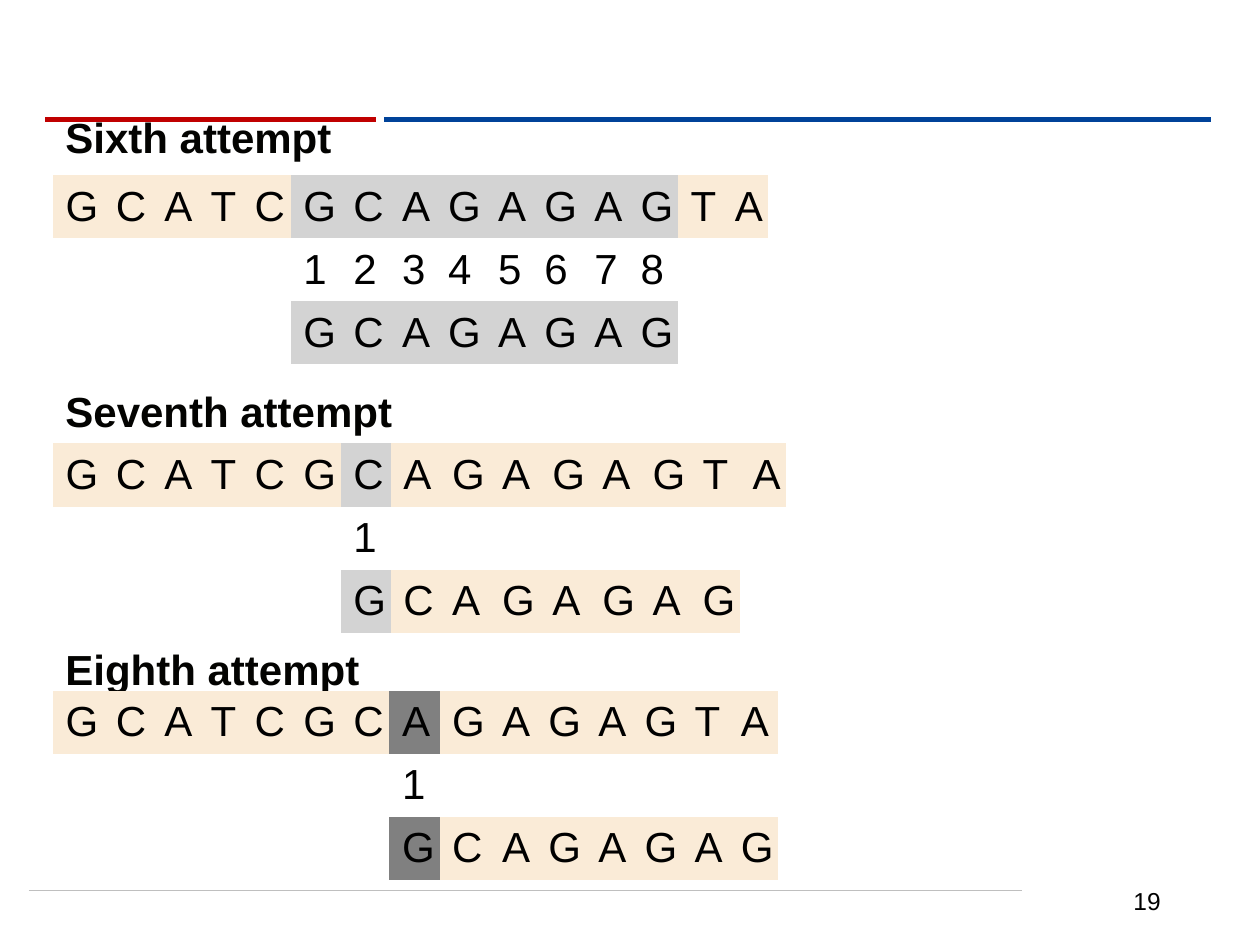
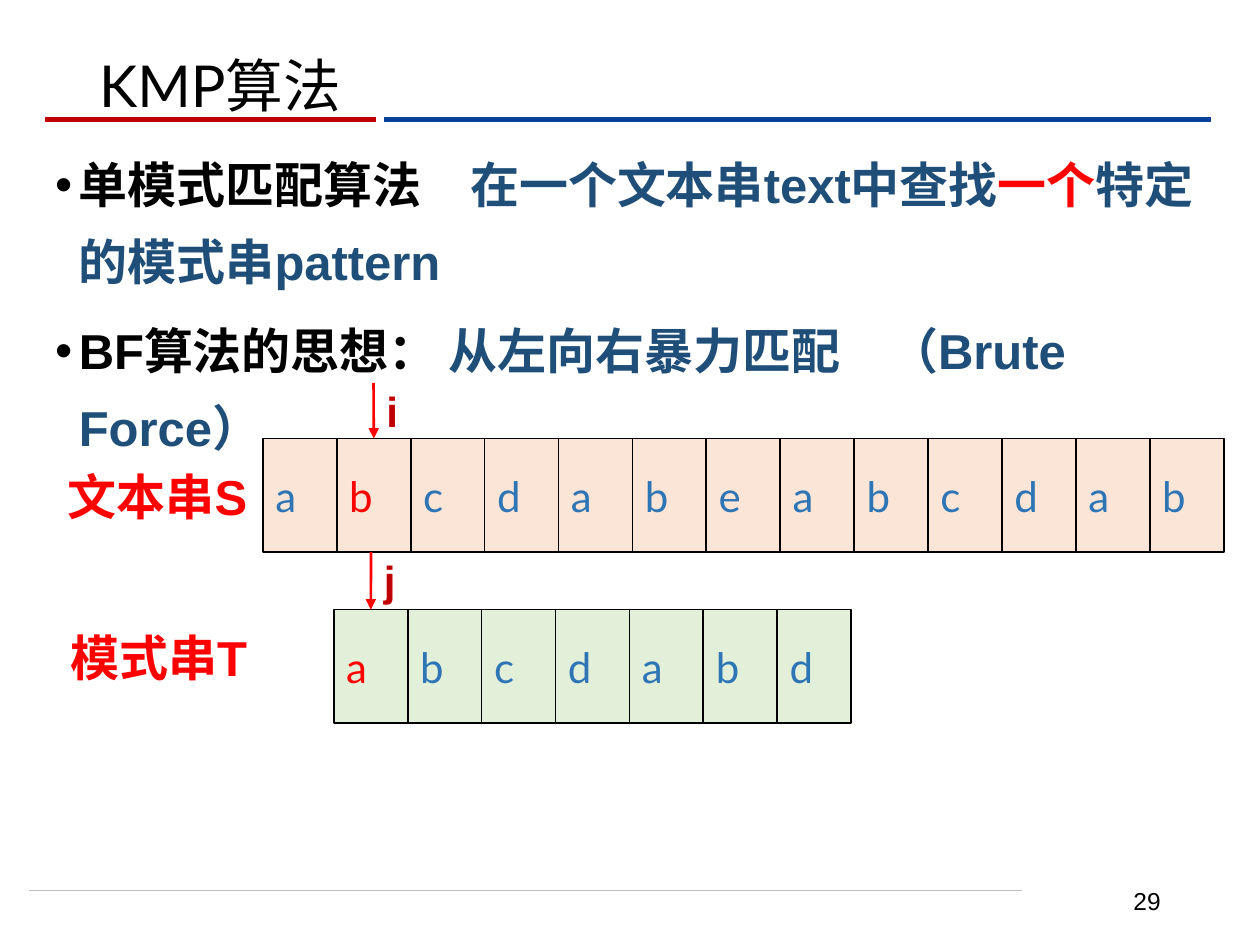
from dataclasses import dataclass
from typing import Optional

from lxml.etree import SubElement
from pptx import Presentation
from pptx.dml.color import RGBColor
from pptx.enum.shapes import MSO_CONNECTOR, MSO_SHAPE
from pptx.enum.text import MSO_ANCHOR, PP_ALIGN
from pptx.oxml.ns import qn
from pptx.util import Cm, Pt

COLORS = {
    "black": "000000", "label": "030301", "white": "FFFFFF",
    "rule_red": "C00000", "rule_blue": "004299", "footer": "BFBFBF",
    "base": "FAEBD7", "match": "D3D3D3", "mismatch": "808080",
    "navy": "1F4E79", "red": "FF0000", "letter": "2E75B6",
    "text_cell": "FBE5D6", "pattern_cell": "E2F0D9",
}
NO_STYLE = "{2D5ABB26-0587-4C30-8999-92F81FD0307C}"

# Alignment tables: a column is as wide as its widest letter
GENOME = "GCATCGCAGAGAGTA"
PATTERN = "GCAGAGAG"
LETTER_WIDTHS = {"G": 1.01, "C": 0.98, "A": 0.93, "T": 0.89}
LEFT, ROW_HEIGHT = 1.07, 1.27

# Strings of boxed letters
CELL_WIDTH, CELL_HEIGHT = 1.49, 2.29


@dataclass
class Run:
    text: str
    size: float
    color: str = "black"
    bold: bool = False
    font: str = "Arial"


@dataclass
class Box:
    x: float
    y: float
    w: float
    h: float


@dataclass
class Rule:
    x1: float
    x2: float
    y: float
    color: str
    width: float


@dataclass
class Attempt:
    title: str
    title_y: float
    title_w: float
    table_y: float
    shift: int
    compared: int
    mark: str


@dataclass
class LetterRow:
    letters: str
    x: float
    y: float
    fill: str
    current: int


RULES = [
    Rule(0.58, 20.6, 17.96, "footer", 0.5),
    Rule(7.75, 24.41, 2.41, "rule_blue", 3),
    Rule(0.91, 7.57, 2.41, "rule_red", 3),
]
ATTEMPTS = [
    Attempt("Sixth attempt", 2.13, 6.05, 3.53, 5, 8, "match"),
    Attempt("Seventh attempt", 7.65, 7.26, 8.94, 6, 1, "match"),
    Attempt("Eighth attempt", 12.85, 6.6, 13.92, 7, 1, "mismatch"),
]
TEXT_ROW = LetterRow("abcdabeabcdab", 5.3, 8.84, "text_cell", 1)
PATTERN_ROW = LetterRow("abcdabd", 6.73, 12.29, "pattern_cell", 0)
STRING_LABELS = [
    (Box(1.12, 9.27, 4.19, 1.45), Run("文本串S", 28, "red", True)),
    (Box(1.17, 12.52, 4.14, 1.45), Run("模式串T", 28, "red", True)),
    (Box(7.54, 7.65, 0.74, 1.27), Run("i", 24, "rule_red", True)),
    (Box(7.49, 11.05, 0.74, 1.27), Run("j", 24, "rule_red", True)),
]
BULLETS = [
    [Run("单模式匹配算法　", 28, "black", True, "Lato"),
     Run("在一个文本串text中查找", 28, "navy", True),
     Run("一个", 28, "red", True),
     Run("特定的模式串pattern", 28, "navy", True)],
    [Run("BF算法的思想： ", 28, "black", True),
     Run("从左向右暴力匹配　（Brute Force）", 28, "navy", True)],
]


def rgb(name: str) -> RGBColor:
    return RGBColor.from_string(COLORS[name])


def add_run(p, run: Run) -> None:
    r = p.add_run()
    r.text = run.text
    r.font.name = run.font
    r.font.size = Pt(run.size)
    r.font.bold = run.bold
    r.font.color.rgb = rgb(run.color)


def add_text(s, box: Box, runs: list[Run], anchor=MSO_ANCHOR.TOP,
             align: Optional[PP_ALIGN] = None):
    tb = s.shapes.add_textbox(Cm(box.x), Cm(box.y), Cm(box.w), Cm(box.h))
    tf = tb.text_frame
    tf.word_wrap = True
    tf.vertical_anchor = anchor
    p = tf.paragraphs[0]
    p.alignment = align
    for run in runs:
        add_run(p, run)
    return tf


def add_line(s, x1: float, y1: float, x2: float, y2: float,
             color: str, width: float):
    line = s.shapes.add_connector(MSO_CONNECTOR.STRAIGHT,
                                  Cm(x1), Cm(y1), Cm(x2), Cm(y2))
    line.line.color.rgb = rgb(color)
    line.line.width = Pt(width)
    SubElement(line._element.spPr, qn("a:effectLst"))
    return line


def add_arrow(s, x: float, y: float, target):
    arrow = add_line(s, x, y, x, y + 1.12, "red", 1.5)
    arrow.end_connect(target, 0)
    SubElement(arrow.line._get_or_add_ln(), qn("a:tailEnd"), type="triangle")
    return arrow


def add_base(prs, number: int):
    """New slide with the shared rules and its page number."""
    s = prs.slides.add_slide(prs.slide_layouts[6])
    for rule in RULES:
        add_line(s, rule.x1, rule.y, rule.x2, rule.y, rule.color, rule.width)
    add_text(s, Box(17.93, 17.65, 5.72, 1.02), [Run(str(number), 14)],
             MSO_ANCHOR.MIDDLE, PP_ALIGN.RIGHT)
    return s


def fill_cell(cell, text: str, fill: str) -> None:
    cell.fill.solid()
    cell.fill.fore_color.rgb = rgb(fill)
    cell.vertical_anchor = MSO_ANCHOR.MIDDLE
    cell.margin_right = 0
    if text:
        add_run(cell.text_frame.paragraphs[0], Run(text, 24))


def merge_gap(table, row: int, start: int, stop: int) -> None:
    if stop - start > 1:
        table.cell(row, start).merge(table.cell(row, stop - 1))


def add_attempt(s, a: Attempt) -> None:
    add_text(s, Box(LEFT, a.title_y, a.title_w, 1.27),
             [Run(a.title, 24, "label", True)], MSO_ANCHOR.MIDDLE)
    count = len(GENOME)
    numbers = "".join(str(i + 1) for i in range(a.compared))
    rows = [GENOME] + [(" " * a.shift + t).ljust(count)
                       for t in (numbers, PATTERN)]
    widths = [max(LETTER_WIDTHS.get(ch, 0) for ch in column)
              for column in zip(*rows)]
    table = s.shapes.add_table(
        len(rows), count, Cm(LEFT), Cm(a.table_y),
        Cm(sum(widths)), Cm(ROW_HEIGHT * len(rows))).table
    table.first_row = table.horz_banding = False
    table._tbl.tblPr.find(qn("a:tableStyleId")).text = NO_STYLE
    for column, width in zip(table.columns, widths):
        column.width = Cm(width)

    marked_end = a.shift + a.compared
    for i, letters in enumerate(rows):
        table.rows[i].height = Cm(ROW_HEIGHT)
        for j, ch in enumerate(letters):
            if not ch.isalpha():
                fill = "white"
            else:
                fill = a.mark if a.shift <= j < marked_end else "base"
            fill_cell(table.cell(i, j), ch.strip(), fill)
    for i in (1, 2):
        merge_gap(table, i, 0, a.shift)
        merge_gap(table, i, len(rows[i].rstrip()), count)


def add_letter_row(s, row: LetterRow) -> list:
    cells = []
    for i, letter in enumerate(row.letters):
        sp = s.shapes.add_shape(
            MSO_SHAPE.RECTANGLE, Cm(row.x + i * CELL_WIDTH), Cm(row.y),
            Cm(CELL_WIDTH), Cm(CELL_HEIGHT))
        sp.shadow.inherit = False
        sp.fill.solid()
        sp.fill.fore_color.rgb = rgb(row.fill)
        sp.line.color.rgb = rgb("black")
        sp.line.width = Pt(1)
        tf = sp.text_frame
        tf.vertical_anchor = MSO_ANCHOR.MIDDLE
        p = tf.paragraphs[0]
        p.alignment = PP_ALIGN.JUSTIFY
        color = "red" if i == row.current else "letter"
        add_run(p, Run(letter, 24, color, font="Lato"))
        cells.append(sp)
    return cells


def add_bullets(s, box: Box, items: list[list[Run]]) -> None:
    tf = add_text(s, box, [])
    for i, runs in enumerate(items):
        p = tf.add_paragraph() if i else tf.paragraphs[0]
        pPr = p._p.get_or_add_pPr()
        pPr.set("marL", str(Cm(0.48)))
        pPr.set("indent", str(-Cm(0.48)))
        SubElement(pPr, qn("a:buFont"), typeface="Arial")
        SubElement(pPr, qn("a:buChar"), char="•")
        p.line_spacing = 1.3
        if i:
            p.space_before = Pt(7.5)
        for run in runs:
            add_run(p, run)


def build_attempts(prs) -> None:
    s = add_base(prs, 19)
    for attempt in ATTEMPTS:
        add_attempt(s, attempt)


def build_kmp(prs) -> None:
    s = add_base(prs, 29)
    # Title and definitions
    tf = add_text(s, Box(1.75, -0.05, 21.89, 3.68),
                  [Run("KMP算法", 33, font="Lato")], MSO_ANCHOR.MIDDLE)
    tf.paragraphs[0].line_spacing = 0.9
    add_bullets(s, Box(0.86, 2.64, 24.13, 11.89), BULLETS)
    # Text and pattern strings with their position arrows
    for box, run in STRING_LABELS:
        add_text(s, box, [run])
    text_cells = add_letter_row(s, TEXT_ROW)
    pattern_cells = add_letter_row(s, PATTERN_ROW)
    add_arrow(s, 7.53, 7.72, text_cells[TEXT_ROW.current])
    add_arrow(s, 7.48, 11.13, pattern_cells[PATTERN_ROW.current])


def main() -> None:
    prs = Presentation()
    prs.slide_width, prs.slide_height = Cm(25.4), Cm(19.05)
    build_attempts(prs)
    build_kmp(prs)
    prs.save("out.pptx")


if __name__ == "__main__":
    main()
